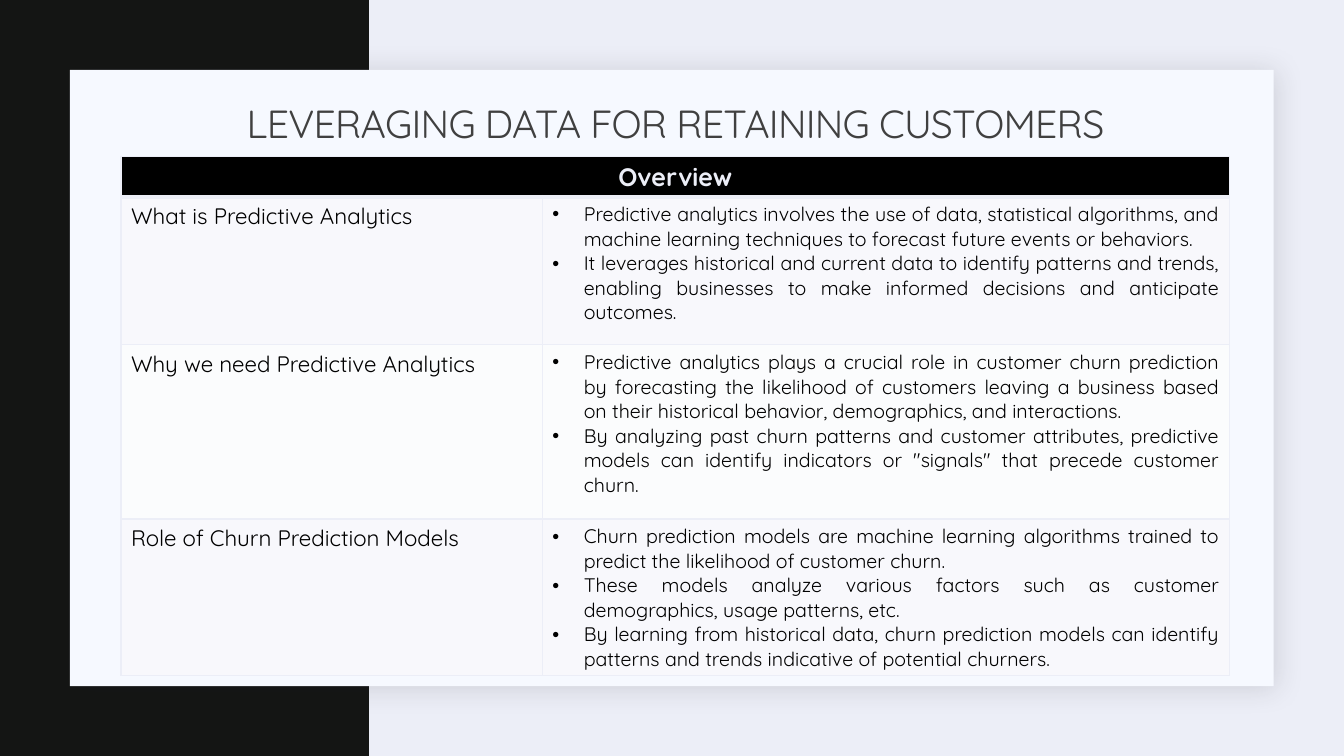
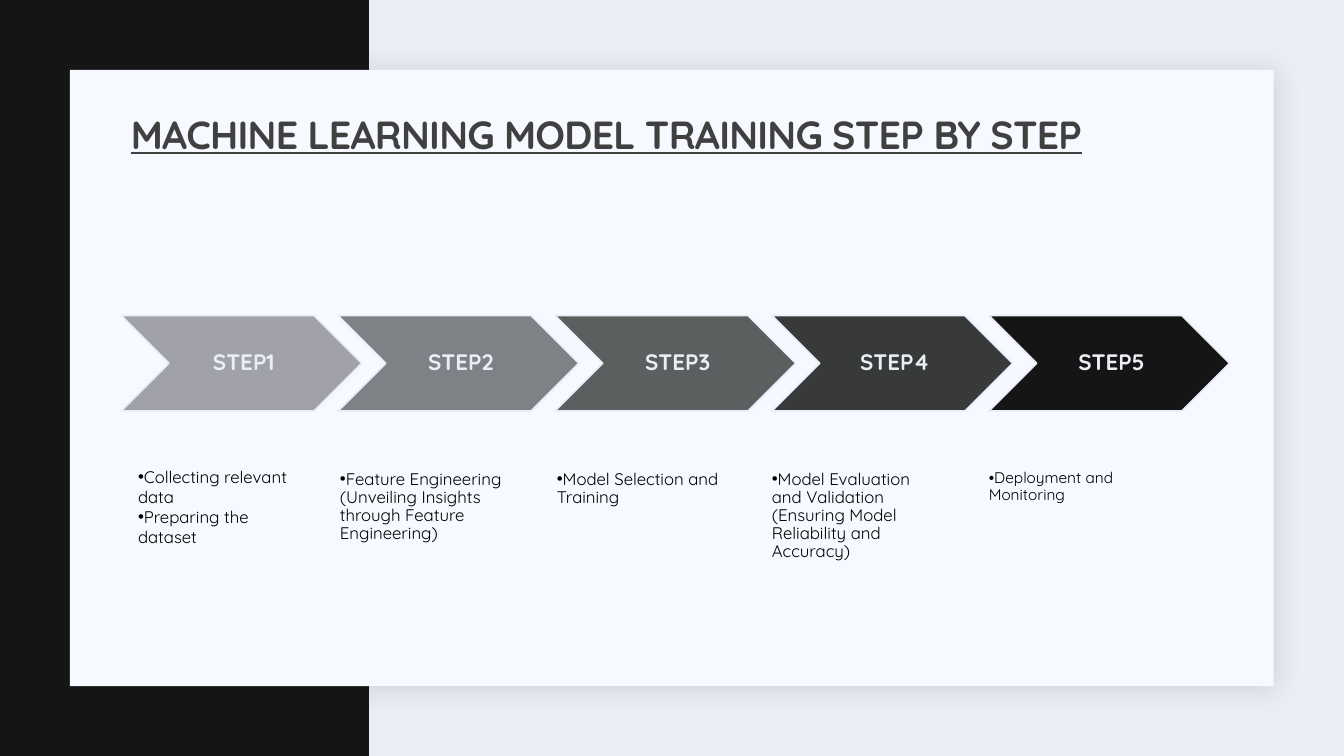
from dataclasses import dataclass

import lxml.etree
import pptx
import pptx.dml.color
import pptx.enum.shapes
import pptx.enum.text
import pptx.oxml.ns
import pptx.util

Cm = pptx.util.Cm
Pt = pptx.util.Pt
qn = pptx.oxml.ns.qn
ALIGN = pptx.enum.text.PP_ALIGN
MIDDLE = pptx.enum.text.MSO_ANCHOR.MIDDLE
SHAPE = pptx.enum.shapes.MSO_SHAPE


@dataclass(frozen=True)
class Theme:
    """Colours, font and type sizes shared by the slides."""
    font: str = "Quicksand"
    ground: str = "ECEEF7"
    band: str = "141514"
    card: str = "F6F9FF"
    shadow: str = "1F2125"
    title: str = "404040"
    text: str = "000000"
    light: str = "ECEEF7"
    header: str = "000000"
    rows: tuple = ("F8F8FC", "FBFCFD")
    steps: tuple = ("A1A2A9", "7C8286", "5A6060", "373A39", "141514")
    title_size: int = 28
    header_size: int = 18
    label_size: int = 16
    body_size: int = 14
    note_size: int = 12
    small_size: int = 11


THEME = Theme()
SLIDE_W, SLIDE_H = 33.87, 19.05
LEFT, CONTENT_W = 3.05, 27.94

OVERVIEW = [
    ("What is Predictive Analytics", 3.73, [
        "Predictive analytics involves the use of data, statistical algorithms, and machine "
        "learning techniques to forecast future events or behaviors.",
        "It leverages historical and current data to identify patterns and trends, enabling "
        "businesses to make informed decisions and anticipate outcomes.",
    ]),
    ("Why we need Predictive Analytics", 4.39, [
        "Predictive analytics plays a crucial role in customer churn prediction by forecasting "
        "the likelihood of customers leaving a business based on their historical behavior, "
        "demographics, and interactions.",
        "By analyzing past churn patterns and customer attributes, predictive models can "
        "identify indicators or \"signals\" that precede customer churn.",
    ]),
    ("Role of Churn Prediction Models", 3.95, [
        "Churn prediction models are machine learning algorithms trained to predict the "
        "likelihood of customer churn.",
        "These models analyze various factors such as customer demographics, usage patterns, etc.",
        "By learning from historical data, churn prediction models can identify patterns and "
        "trends indicative of potential churners.",
    ]),
]

STEPS = [
    (["Collecting relevant data", "Preparing the dataset"], THEME.note_size, 0.43, -0.1, 1.0),
    (["Feature Engineering (Unveiling Insights through Feature Engineering)"],
     THEME.note_size, 0.05, 0, 0.9),
    (["Model Selection and Training"], THEME.note_size, 0.05, 0, 0.9),
    (["Model Evaluation and Validation (Ensuring Model Reliability and Accuracy)"],
     THEME.note_size, 0, 0, 0.9),
    (["Deployment and Monitoring"], THEME.small_size, 0, 0, 0.9),
]


def rgb(color):
    """Return the colour object for a hex string."""
    return pptx.dml.color.RGBColor.from_string(color)


def add_text(tf, lines, size, color, align=ALIGN.LEFT, bold=False, spacing=1.0, bullet=None):
    """Write one paragraph per line; bullet is the hanging indent in cm."""
    for i, line in enumerate(lines):
        p = tf.paragraphs[0] if i == 0 else tf.add_paragraph()
        p.alignment = align
        p.line_spacing = spacing
        r = p.add_run()
        r.text = line
        r.font.name = THEME.font
        r.font.size = Pt(size)
        r.font.bold = bold
        r.font.color.rgb = rgb(color)
        if bullet is not None:
            pPr = p._p.get_or_add_pPr()
            pPr.set("marL", str(Cm(bullet)))
            pPr.set("indent", str(-Cm(bullet)))
            lxml.etree.SubElement(pPr, qn("a:buFont"), typeface="Arial")
            lxml.etree.SubElement(pPr, qn("a:buChar"), char="•")


def add_block(slide, kind, x, y, w, h, fill):
    """Add a filled preset shape without outline or shadow."""
    sp = slide.shapes.add_shape(kind, Cm(x), Cm(y), Cm(w), Cm(h))
    sp.shadow.inherit = False
    sp.fill.solid()
    sp.fill.fore_color.rgb = rgb(fill)
    sp.line.fill.background()
    return sp


def add_soft_shadow(sp):
    """Give a shape the soft shadow of the card."""
    effects = sp._element.spPr.find(qn("a:effectLst"))
    outer = lxml.etree.SubElement(effects, qn("a:outerShdw"), blurRad=str(Pt(20)),
                                  dist=str(Pt(2)), dir="2700000", algn="ctr", rotWithShape="0")
    color = lxml.etree.SubElement(outer, qn("a:srgbClr"), val=THEME.shadow)
    lxml.etree.SubElement(color, qn("a:alpha"), val="15000")


def add_textbox(slide, x, y, w, h):
    """Add a wrapping text box and return its text frame."""
    tf = slide.shapes.add_textbox(Cm(x), Cm(y), Cm(w), Cm(h)).text_frame
    tf.word_wrap = True
    return tf


def add_base(prs):
    """Add a slide with the dark band and the card."""
    slide = prs.slides.add_slide(prs.slide_layouts[6])
    slide.background.fill.solid()
    slide.background.fill.fore_color.rgb = rgb(THEME.ground)
    add_block(slide, SHAPE.RECTANGLE, 0, 0, 9.3, SLIDE_H, THEME.band)
    add_soft_shadow(add_block(slide, SHAPE.RECTANGLE, 1.76, 1.76, 30.34, 15.53, THEME.card))
    return slide


def add_title(slide, text, y, align=ALIGN.LEFT, strong=False):
    """Add the slide title; a strong one is bold and underlined."""
    tf = add_textbox(slide, LEFT, y, CONTENT_W, 1.63)
    tf.vertical_anchor = MIDDLE
    add_text(tf, [text], THEME.title_size, THEME.title, align, strong, 0.9)
    r = tf.paragraphs[0].runs[0]
    r.font.underline = strong
    r._r.get_or_add_rPr().set("spc", "-50")


def style_cell(cell, fill, bottom=1, top=1):
    """Fill a cell and draw its borders."""
    cell.fill.solid()
    cell.fill.fore_color.rgb = rgb(fill)
    tcPr = cell._tc.get_or_add_tcPr()
    for i, (side, width) in enumerate((("L", 1), ("R", 1), ("T", top), ("B", bottom))):
        ln = lxml.etree.Element(qn("a:ln" + side), w=str(Pt(width)))
        solid = lxml.etree.SubElement(ln, qn("a:solidFill"))
        lxml.etree.SubElement(solid, qn("a:srgbClr"), val=THEME.light)
        tcPr.insert(i, ln)


def add_overview_table(slide, x, y, w):
    """Add the table of topics and their explanations."""
    heights = [1.02] + [height for _, height, _ in OVERVIEW]
    table = slide.shapes.add_table(len(heights), 2, Cm(x), Cm(y), Cm(w), Cm(sum(heights))).table
    for column, share in zip(table.columns, (0.38, 0.62)):
        column.width = Cm(round(w * share, 2))
    for row, height in zip(table.rows, heights):
        row.height = Cm(height)
    for col in range(2):
        style_cell(table.cell(0, col), THEME.header, bottom=3)
    head = table.cell(0, 0)
    head.merge(table.cell(0, 1))
    add_text(head.text_frame, ["Overview"], THEME.header_size, THEME.light, ALIGN.CENTER, True)
    for i, (topic, _, points) in enumerate(OVERVIEW):
        name, detail = table.cell(i + 1, 0), table.cell(i + 1, 1)
        for cell in (name, detail):
            style_cell(cell, THEME.rows[i % 2], top=1 if i else 3)
        add_text(name.text_frame, [topic], THEME.label_size, THEME.text)
        add_text(detail.text_frame, points, THEME.body_size, THEME.text, ALIGN.JUSTIFY,
                 bullet=0.79)


def add_step_row(slide, x, y, w):
    """Add the row of chevrons with a note under each one."""
    width, height = 6.07, 2.41
    pitch = (w - width) / (len(STEPS) - 1)
    for i, (notes, size, dx, dy, spacing) in enumerate(STEPS):
        left = x + i * pitch
        sp = add_block(slide, SHAPE.CHEVRON, left, y, width, height, THEME.steps[i])
        sp.line.color.rgb = rgb(THEME.light)
        sp.line.width = Pt(1.25)
        tf = sp.text_frame
        tf.vertical_anchor = MIDDLE
        tf.margin_left = Cm(0.17)
        tf.margin_right = tf.margin_top = tf.margin_bottom = Cm(0.05)
        add_text(tf, [f"STEP{i + 1}"], THEME.label_size, THEME.light, ALIGN.CENTER, True, 0.9)
        tf = add_textbox(slide, left + dx, y + 3.91 + dy, 4.34, 2.34)
        tf.margin_left = tf.margin_right = tf.margin_top = tf.margin_bottom = 0
        add_text(tf, notes, size, THEME.text, spacing=spacing, bullet=0)


def build_overview(prs):
    """Build the slide with the overview table."""
    slide = add_base(prs)
    add_title(slide, "LEVERAGING DATA FOR RETAINING CUSTOMERS", 2.36, ALIGN.CENTER)
    add_overview_table(slide, LEFT, 3.94, CONTENT_W)


def build_training(prs):
    """Build the slide with the training steps."""
    slide = add_base(prs)
    add_step_row(slide, LEFT, 7.95, CONTENT_W)
    add_title(slide, "MACHINE LEARNING MODEL TRAINING STEP BY STEP", 2.62, strong=True)


def main():
    """Build and save the presentation."""
    prs = pptx.Presentation()
    prs.slide_width, prs.slide_height = Cm(SLIDE_W), Cm(SLIDE_H)
    build_overview(prs)
    build_training(prs)
    prs.save("out.pptx")


if __name__ == "__main__":
    main()
